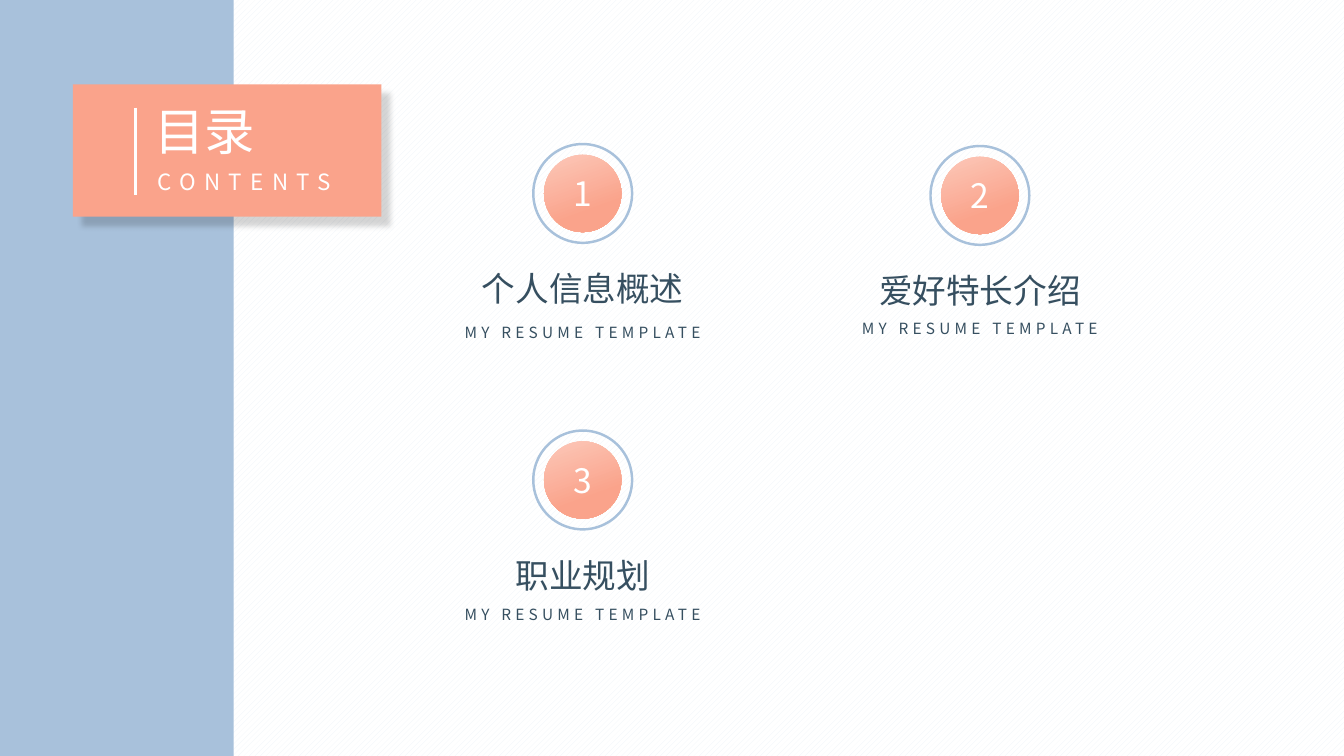
from lxml import etree
from pptx import Presentation
from pptx.dml.color import RGBColor
from pptx.enum.dml import MSO_PATTERN
from pptx.enum.shapes import MSO_CONNECTOR, MSO_SHAPE
from pptx.enum.text import MSO_ANCHOR, MSO_AUTO_SIZE, PP_ALIGN
from pptx.oxml import parse_xml
from pptx.oxml.ns import nsdecls, qn
from pptx.util import Cm, Pt

RECT, OVAL = MSO_SHAPE.RECTANGLE, MSO_SHAPE.OVAL
STRAIGHT = MSO_CONNECTOR.STRAIGHT
HATCH = MSO_PATTERN.WIDE_UPWARD_DIAGONAL
LEFT, CENTER = PP_ALIGN.LEFT, PP_ALIGN.CENTER
MIDDLE, GROW = MSO_ANCHOR.MIDDLE, MSO_AUTO_SIZE.SHAPE_TO_FIT_TEXT

WHITE = RGBColor(0xFF, 0xFF, 0xFF)
PALE = RGBColor(0xEE, 0xF3, 0xF8)
BLUE = RGBColor(0xA8, 0xC1, 0xDB)
CORAL = RGBColor(0xFA, 0xA3, 0x8B)
PEACH = RGBColor(0xFC, 0xC8, 0xB9)
SLATE = RGBColor(0x36, 0x4F, 0x60)

FONT = "Noto Sans CJK SC"
WIDTH, HEIGHT = 33.87, 19.05
ITEM_WIDTH = 7.37
ITEMS = [
    ("1", "个人信息概述", 11, 3.63, 4.39),
    ("2", "爱好特长介绍", 21.01, 3.68, 4.24),
    ("3", "职业规划", 11, 10.85, 4.27),
]


def write(frame, text, size, color, align=LEFT, gap=0):
    """Fill a text frame with one formatted line."""
    frame.text = text
    line = frame.paragraphs[0]
    line.alignment = align
    run = line.runs[0]
    run.font.size = Pt(size)
    run.font.color.rgb = color
    run.font.name = FONT
    props = run._r.get_or_add_rPr()
    etree.SubElement(props, qn("a:ea"), typeface=FONT)
    if gap:
        props.set("spc", str(gap * 100))


def label(slide, box, *style):
    """Add a wrapping text box that grows with its text."""
    frame = slide.shapes.add_textbox(*map(Cm, box)).text_frame
    frame.word_wrap = True
    frame.auto_size = GROW
    write(frame, *style)


def block(slide, kind, box, color=None):
    """Add a shape without outline, filled if a color is given."""
    shape = slide.shapes.add_shape(kind, *map(Cm, box))
    shape.shadow.inherit = False
    shape.line.fill.background()
    if color is None:
        shape.fill.background()
    else:
        shape.fill.solid()
        shape.fill.fore_color.rgb = color
    return shape


def backdrop(slide, left, top, width, height):
    """Draw the hatched page and the side band."""
    page = block(slide, RECT, (left, top, width, height))
    page.fill.patterned()
    page.fill.pattern = HATCH
    page.fill.fore_color.rgb = PALE
    page.fill.back_color.rgb = WHITE
    block(slide, RECT, (left, top, 5.89, height), BLUE)


def header(slide, left, top, width, height):
    """Draw the heading card with its shadow, rule and two lines."""
    card = block(slide, RECT, (left, top, width, height), CORAL)
    effects = card._element.spPr.find(qn("a:effectLst"))
    effects.append(parse_xml(
        f'<a:outerShdw {nsdecls("a")} blurRad="{Pt(4)}" dist="{Pt(9)}" '
        'dir="2700000" algn="tl" rotWithShape="0"><a:srgbClr val="000000">'
        '<a:alpha val="16000"/></a:srgbClr></a:outerShdw>'))
    label(slide, (left + 1.8, top + 0.26, 5.56, 1.8), "目录", 36, WHITE)
    x = left + 1.57
    ends = (x, top + 0.58, x, top + 2.79)
    rule = slide.shapes.add_connector(STRAIGHT, *map(Cm, ends))
    rule.line.color.rgb = WHITE
    rule.line.width = Pt(2)
    etree.SubElement(rule._element.spPr, qn("a:effectLst"))
    label(slide, (left + 1.88, top + 1.98, 5.56, 0.94),
          "CONTENTS", 16, WHITE, LEFT, 6)


def badge(slide, left, top, size, number):
    """Draw a numbered gradient disc inside a ring."""
    inset = 0.27
    inner = size - 2 * inset
    disc = block(slide, OVAL, (left + inset, top + inset, inner, inner))
    disc.fill.gradient()
    disc.fill.gradient_angle = 290
    stops = disc.fill.gradient_stops
    for stop, color, place in zip(stops, (PEACH, CORAL), (0, 0.7)):
        stop.color.rgb = color
        stop.position = place
    disc.text_frame.vertical_anchor = MIDDLE
    write(disc.text_frame, number, 24, WHITE, CENTER)
    ring = block(slide, OVAL, (left, top, size, size))
    ring.line.color.rgb = BLUE
    ring.line.width = Pt(1.75)


def item(slide, left, top, width, number, title, drop):
    """Draw one contents entry: badge, title and subtitle."""
    size = 2.49
    badge(slide, left + (width - size) / 2, top, size, number)
    label(slide, (left + 0.25, top + 3, width - 0.5, 1.27),
          title, 24, SLATE, CENTER)
    label(slide, (left, top + drop, width, 0.74),
          "MY RESUME TEMPLATE", 11, SLATE, CENTER, 3)


def main():
    """Build and save the contents slide."""
    deck = Presentation()
    deck.slide_width, deck.slide_height = Cm(WIDTH), Cm(HEIGHT)
    slide = deck.slides.add_slide(deck.slide_layouts[6])
    backdrop(slide, 0, 0, WIDTH, HEIGHT)
    header(slide, 1.84, 2.13, 7.77, 3.33)
    for number, title, left, top, drop in ITEMS:
        item(slide, left, top, ITEM_WIDTH, number, title, drop)
    deck.save("out.pptx")


if __name__ == "__main__":
    main()
